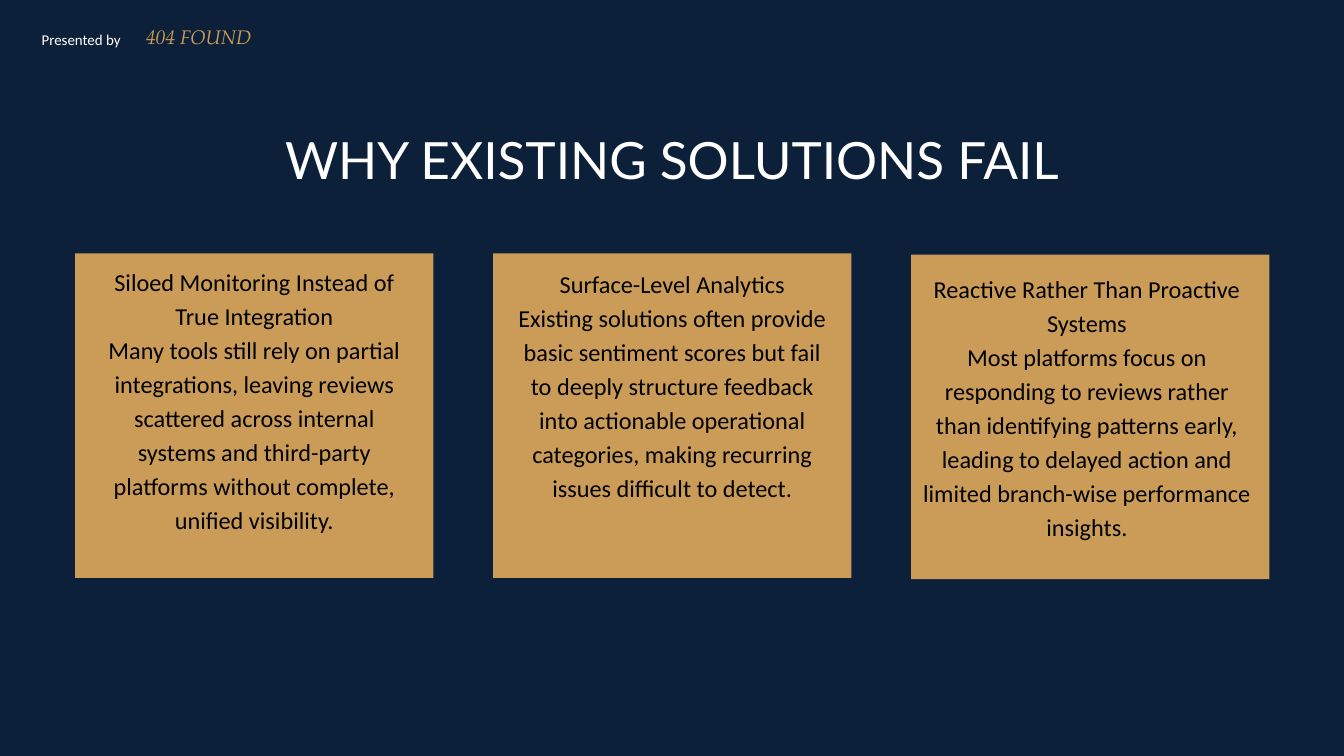
"""Build the slide on why existing solutions fail."""
from pptx import Presentation
from pptx.dml.color import RGBColor
from pptx.enum.shapes import MSO_SHAPE as SHAPE
from pptx.enum.text import PP_ALIGN as ALIGN
from pptx.util import Inches, Pt

NAVY, GOLD, WHITE, BLACK = "0D2039", "CA9C57", "FFFFFF", "000000"


def paint(fill, color):
    fill.solid()
    fill.fore_color.rgb = RGBColor.from_string(color)


def add_text(box, lines, size, spacing, color, font="Calibri", align=ALIGN.LEFT, italic=None):
    tf = s.shapes.add_textbox(*map(Inches, box)).text_frame
    tf.word_wrap = True
    tf.margin_left = tf.margin_top = tf.margin_right = tf.margin_bottom = 0
    tf.text = "\n".join(lines)
    for p in tf.paragraphs:
        p.alignment = align
        p.line_spacing = Pt(spacing)
        p.font.name = font
        p.font.size = Pt(size)
        p.font.italic = italic
        paint(p.font.fill, color)


prs = Presentation()
prs.slide_width, prs.slide_height = Inches(20), Inches(11.25)
s = prs.slides.add_slide(prs.slide_layouts[6])
paint(s.background.fill, NAVY)

add_text((0.62, 0.41, 1.79, 0.28), ["Presented by"], 16, 22.4, WHITE)
add_text((2.17, 0.31, 1.88, 0.38), ["404 FOUND"], 21, 29.4, GOLD, "TeX Gyre Pagella", italic=True)
add_text((1.51, 1.71, 16.98, 1.06), ["WHY EXISTING SOLUTIONS FAIL"], 55, 79.7, WHITE, "Lato", ALIGN.CENTER)

cards = [
    (3.77, (1.44, 3.91, 4.69, 4.49), "Siloed Monitoring Instead of True Integration",
     "Many tools still rely on partial integrations, leaving reviews scattered across internal "
     "systems and third-party platforms without complete, unified visibility."),
    (3.77, (7.63, 3.93, 4.75, 4.49), "Surface-Level Analytics",
     "Existing solutions often provide basic sentiment scores but fail to deeply structure feedback "
     "into actionable operational categories, making recurring issues difficult to detect."),
    (3.79, (13.71, 4.01, 4.93, 4.49), "Reactive Rather Than Proactive Systems",
     "Most platforms focus on responding to reviews rather than identifying patterns early, "
     "leading to delayed action and limited branch-wise performance insights."),
]
for i, (top, box, heading, body) in enumerate(cards):
    left = 1.12 + i * 6.22
    card = s.shapes.add_shape(SHAPE.RECTANGLE, Inches(left), Inches(top), Inches(5.33), Inches(4.83))
    card.shadow.inherit = False
    paint(card.fill, GOLD)
    card.line.fill.background()
    add_text(box, [heading, body], 26, 36.4, BLACK, align=ALIGN.CENTER)

prs.save("out.pptx")
